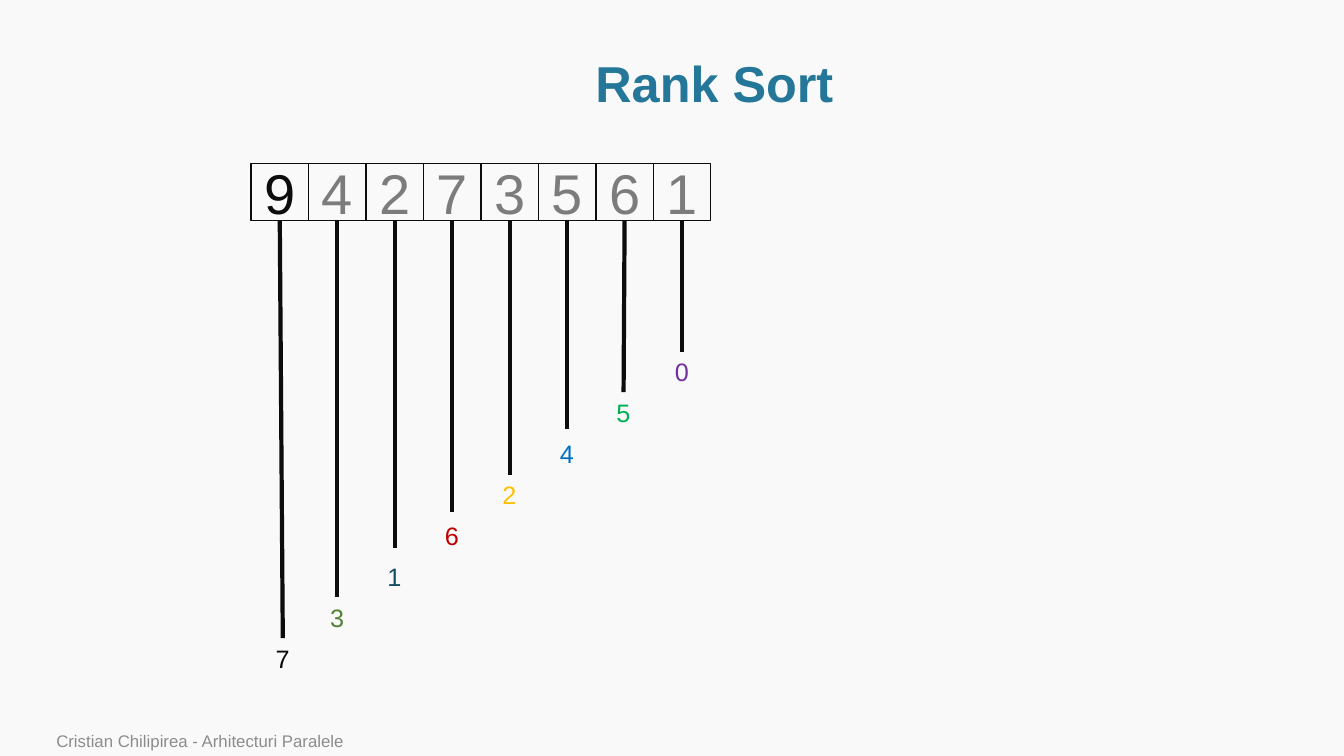
from dataclasses import dataclass

from lxml.etree import SubElement
from pptx import Presentation
from pptx.dml.color import RGBColor
from pptx.enum.shapes import MSO_CONNECTOR as CONN, MSO_SHAPE as SHAPE
from pptx.enum.text import MSO_ANCHOR as ANCHOR, MSO_AUTO_SIZE as FIT, PP_ALIGN as ALIGN
from pptx.oxml.ns import qn
from pptx.util import Inches, Pt

INK, GREY = "0C0C0C", "7C7C7C"
ROW_LEFT, ROW_TOP, CELL = 2.49, 1.62, 0.57
RANK_BOTTOM, RANK_STEP, RANK_W, RANK_H = 6.33, 0.406, 0.34, 0.4


@dataclass
class Item:
    value: str
    rank: str
    rank_color: str
    stem_end: float
    lean: float = 0
    color: str = GREY


ITEMS = [
    Item("9", "7", INK, 6.33, lean=0.03, color=INK),
    Item("4", "3", "548235", 5.92),
    Item("2", "1", "174D63", 5.44),
    Item("7", "6", "C00000", 5.08),
    Item("3", "2", "FFC000", 4.71),
    Item("5", "4", "0070C0", 4.26),
    Item("6", "5", "00B050", 3.89, lean=-0.01),
    Item("1", "0", "7030A0", 3.49),
]


def rgb(color: str) -> RGBColor:
    return RGBColor.from_string(color)


def write(sp, text: str, size: int, color: str, bold: bool = False,
          align=ALIGN.LEFT, spacing: float = 1.0, **frame) -> None:
    """Fill a shape with one run; frame holds text frame attributes."""
    tf = sp.text_frame
    for name, value in ({"word_wrap": True} | frame).items():
        setattr(tf, name, value)
    p = tf.paragraphs[0]
    p.alignment, p.line_spacing = align, spacing
    r = p.add_run()
    r.text = text
    for name, value in {"name": "Arial", "size": Pt(size), "bold": bold}.items():
        setattr(r.font, name, value)
    r.font.color.rgb = rgb(color)


def add_text(s, x: float, y: float, w: float, h: float, text: str,
             size: int, color: str, **fmt) -> None:
    sp = s.shapes.add_textbox(*map(Inches, (x, y, w, h)))
    write(sp, text, size, color, **fmt)


def add_cell(s, x: float, item: Item) -> None:
    sp = s.shapes.add_shape(SHAPE.RECTANGLE, *map(Inches, (x, ROW_TOP, CELL, CELL)))
    sp.shadow.inherit = False
    sp.fill.background()
    sp.line.color.rgb, sp.line.width = rgb(INK), Pt(1)
    write(sp, item.value, 40, item.color, align=ALIGN.CENTER, vertical_anchor=ANCHOR.MIDDLE)


def add_stem(s, x1: float, y1: float, x2: float, y2: float) -> None:
    stem = s.shapes.add_connector(CONN.STRAIGHT, *map(Inches, (x1, y1, x2, y2)))
    stem.line.color.rgb, stem.line.width = rgb(INK), Pt(3)
    SubElement(stem._element.spPr, qn("a:effectLst"))


def main() -> None:
    prs = Presentation()
    prs.slide_width, prs.slide_height = Inches(13.33), Inches(7.5)
    s = prs.slides.add_slide(prs.slide_layouts[6])
    s.background.fill.solid()
    s.background.fill.fore_color.rgb = rgb("F9F9F9")

    add_text(s, 1.14, 0.51, 11.89, 0.69, "Rank Sort", 36, "247798", bold=True,
             align=ALIGN.CENTER, spacing=0.9, vertical_anchor=ANCHOR.MIDDLE)

    for i, item in enumerate(ITEMS):
        x = ROW_LEFT + i * CELL
        center = x + CELL / 2
        end = center + item.lean
        add_cell(s, x, item)
        add_stem(s, center, ROW_TOP + CELL, end, item.stem_end)
        add_text(s, end - RANK_W / 2, RANK_BOTTOM - i * RANK_STEP, RANK_W, RANK_H,
                 item.rank, 18, item.rank_color,
                 word_wrap=False, auto_size=FIT.SHAPE_TO_FIT_TEXT)

    add_text(s, 0.46, 7.22, 9.82, 0.28, "Cristian Chilipirea - Arhitecturi Paralele",
             12, "8C8C8C", vertical_anchor=ANCHOR.BOTTOM)
    prs.save("out.pptx")


if __name__ == "__main__":
    main()
